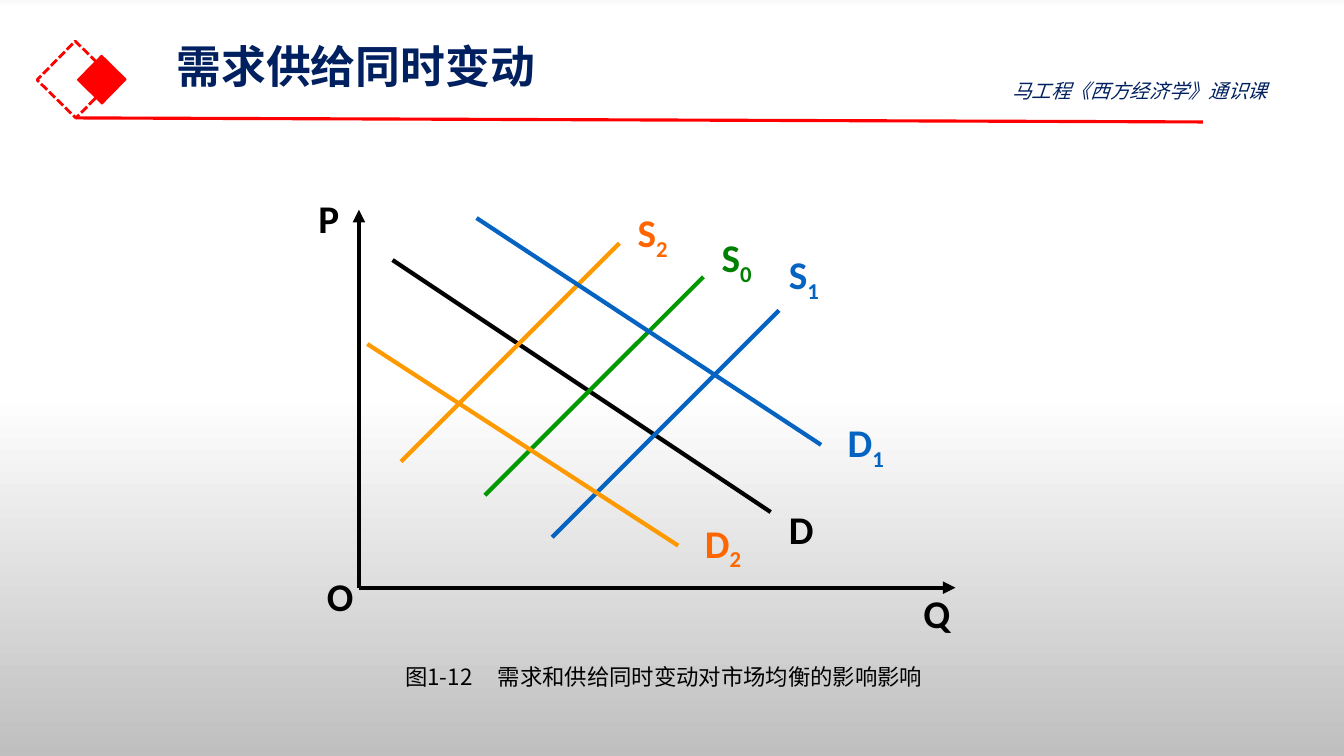
from lxml import etree
from pptx import Presentation
from pptx.dml.color import RGBColor
from pptx.enum.dml import MSO_LINE
from pptx.enum.shapes import MSO_CONNECTOR, MSO_SHAPE
from pptx.enum.text import MSO_ANCHOR, MSO_AUTO_SIZE, PP_ALIGN
from pptx.oxml.ns import qn
from pptx.util import Inches, Pt

BLACK = RGBColor(0x00, 0x00, 0x00)
NAVY = RGBColor(0x00, 0x20, 0x60)
RED = RGBColor(0xFF, 0x00, 0x00)
GREEN_LINE = RGBColor(0x00, 0x99, 0x00)
GREEN_TEXT = RGBColor(0x00, 0x80, 0x00)
BLUE = RGBColor(0x05, 0x63, 0xC1)
ORANGE_LINE = RGBColor(0xFF, 0x99, 0x00)
ORANGE_TEXT = RGBColor(0xFF, 0x66, 0x00)
BACKGROUND_STOPS = [(0, "F9F9F9"), (1, "FFFFFF"), (52, "FFFFFF"), (100, "BFBFBF")]

CHINESE_FONT = "Noto Sans CJK SC"
LABEL_FONT = "Calibri"

# The diagram grid starts at the origin O; rows count upwards.
ORIGIN_X, ORIGIN_Y = 3.56, 5.83
CELL = 1 / 12
LABEL_ROWS = 4
LETTER_COLUMNS, SUBSCRIPT_COLUMNS = 4, 2

# start, end, line colour
CURVES = [
    ((4, 39), (49, 9), BLACK),
    ((15, 11), (41, 37), GREEN_LINE),
    ((23, 6), (50, 33), BLUE),
    ((5, 15), (31, 41), ORANGE_LINE),
    ((14, 44), (55, 17), BLUE),
    ((1, 29), (38, 5), ORANGE_LINE),
]
AXIS_ENDS = [(0, 45), (71, 0)]
# letter, subscript, top left corner, text colour
LABELS = [
    ("D", "", (50, 9), BLACK),
    ("S", "0", (42, 41), GREEN_TEXT),
    ("S", "1", (50, 39), BLUE),
    ("S", "2", (32, 44), ORANGE_TEXT),
    ("D", "1", (57, 19), BLUE),
    ("D", "2", (40, 7), ORANGE_TEXT),
    ("P", "", (-6, 46), BLACK),
    ("O", "", (-5, 1), BLACK),
    ("Q", "", (66, -1), BLACK),
]


def grid_point(cell):
    column, row = cell
    return ORIGIN_X + column * CELL, ORIGIN_Y - row * CELL


def paint_background(slide):
    fill = slide.background.fill
    fill.gradient()
    fill.gradient_angle = 270
    stops = slide.background._cSld.find(".//" + qn("a:gsLst"))
    for stop in list(stops):
        stops.remove(stop)
    for percent, colour in BACKGROUND_STOPS:
        stop = etree.SubElement(stops, qn("a:gs"), pos=str(percent * 1000))
        etree.SubElement(stop, qn("a:srgbClr"), val=colour)


def format_span(span, font, size, colour, bold=False, italic=False):
    span.font.name = font
    span.font.size = Pt(size)
    span.font.bold = bold
    span.font.italic = italic
    span.font.color.rgb = colour
    etree.SubElement(span._r.get_or_add_rPr(), qn("a:ea"), typeface=font)


def add_line(slide, start, end, colour, width, arrow=False):
    ends = [Inches(length) for length in (*start, *end)]
    line = slide.shapes.add_connector(MSO_CONNECTOR.STRAIGHT, *ends)
    line.line.color.rgb = colour
    line.line.width = Pt(width)
    if arrow:
        etree.SubElement(line.line._get_or_add_ln(), qn("a:tailEnd"), type="triangle")
    etree.SubElement(line._element.spPr, qn("a:effectLst"))


def add_diamond(slide, left, top, side, width):
    """Add a square turned on its corner, with a red line."""
    diamond = slide.shapes.add_shape(
        MSO_SHAPE.RECTANGLE, Inches(left), Inches(top), Inches(side), Inches(side))
    diamond.rotation = 314.5
    diamond.shadow.inherit = False
    diamond.line.color.rgb = RED
    diamond.line.width = Pt(width)
    return diamond


def add_text(slide, text, left, top, width, height):
    box = slide.shapes.add_textbox(
        Inches(left), Inches(top), Inches(width), Inches(height))
    frame = box.text_frame
    frame.word_wrap = True
    frame.margin_right = 0
    frame.text = text
    return frame


def add_label(slide, letter, subscript, corner, colour):
    columns = LETTER_COLUMNS + SUBSCRIPT_COLUMNS * len(subscript)
    frame = add_text(slide, letter, *grid_point(corner),
                     columns * CELL, LABEL_ROWS * CELL)
    frame.vertical_anchor = MSO_ANCHOR.MIDDLE
    para = frame.paragraphs[0]
    if subscript:
        span = para.add_run()
        span.text = subscript
        span._r.get_or_add_rPr().set("baseline", "-25000")
    for span in para.runs:
        format_span(span, LABEL_FONT, 28, colour, bold=True)


def set_title(slide, text):
    title = slide.shapes.title
    title.left, title.top = Inches(1.65), Inches(0.41)
    title.width, title.height = Inches(11.5), Inches(0.95)
    frame = title.text_frame
    frame.text = text
    frame.auto_size = MSO_AUTO_SIZE.NONE
    frame.vertical_anchor = MSO_ANCHOR.TOP
    frame.margin_top = Inches(0.03)
    para = frame.paragraphs[0]
    para.alignment = PP_ALIGN.LEFT
    para.line_spacing = 0.9
    format_span(para.runs[0], CHINESE_FONT, 32, NAVY, bold=True)


def add_header(slide):
    outline = add_diamond(slide, 0.48, 0.52, 0.54, 2)
    outline.fill.background()
    outline.line.dash_style = MSO_LINE.SQUARE_DOT
    solid = add_diamond(slide, 0.84, 0.62, 0.34, 1)
    solid.fill.solid()
    solid.fill.fore_color.rgb = RED
    add_line(slide, (0.75, 1.17), (11.93, 1.21), RED, 2.25)
    set_title(slide, "需求供给同时变动")
    course = add_text(slide, "马工程《西方经济学》通识课", 9.94, 0.73, 3.24, 0.34)
    format_span(course.paragraphs[0].runs[0], CHINESE_FONT, 14, NAVY, italic=True)


def add_caption(slide):
    """Add the figure number and, at a tab stop, the figure's name."""
    frame = add_text(slide, "图1-12\t需求和供给同时变动对市场均衡的影响影响",
                     3.92, 6.53, 5.38, 0.37)
    para = frame.paragraphs[0]
    tabs = etree.SubElement(para._p.get_or_add_pPr(), qn("a:tabLst"))
    etree.SubElement(tabs, qn("a:tab"), pos=str(Inches(0.92)), algn="l")
    for span in para.runs:
        format_span(span, CHINESE_FONT, 16, BLACK)


def add_diagram(slide):
    for start, end, colour in CURVES:
        add_line(slide, grid_point(start), grid_point(end), colour, 3)
    for end in AXIS_ENDS:
        add_line(slide, grid_point((0, 0)), grid_point(end), BLACK, 3, arrow=True)
    for label in LABELS:
        add_label(slide, *label)


def main():
    deck = Presentation()
    deck.slide_width, deck.slide_height = Inches(13.33), Inches(7.5)
    slide = deck.slides.add_slide(deck.slide_layouts[5])
    paint_background(slide)
    add_header(slide)
    add_diagram(slide)
    add_caption(slide)
    deck.save("out.pptx")


if __name__ == "__main__":
    main()
